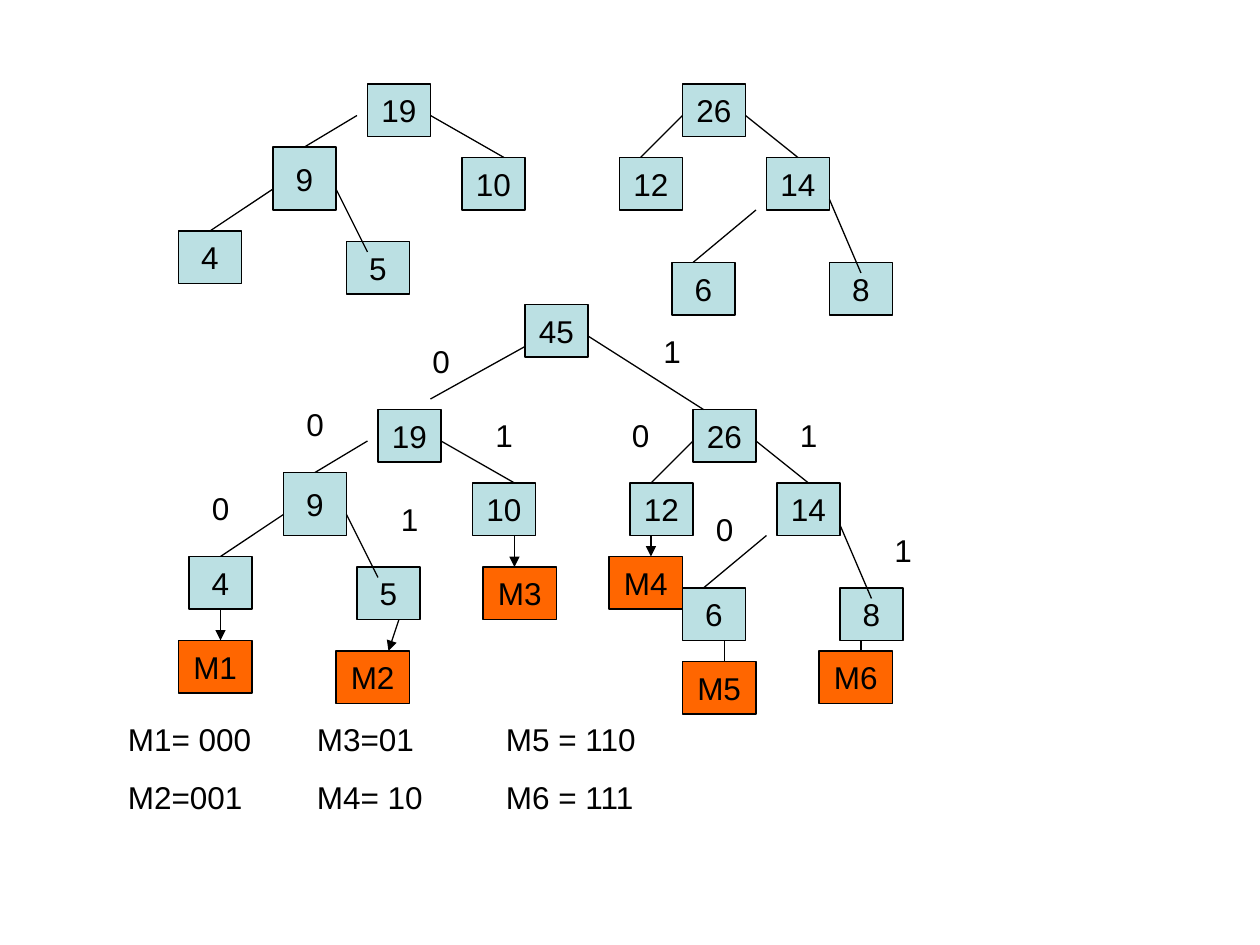
import pptx
import pptx.dml.color
import pptx.enum.shapes
import pptx.enum.text
import pptx.oxml.ns
import pptx.util
from lxml import etree

EMU_PER_PX = 7620  # 120 px to the inch
FONT, FONT_SIZE = "Arial", 18
BLACK, NODE_FILL, MESSAGE_FILL = "000000", "BBE0E3", "FF6600"
NODE_SIZE, MESSAGE_SIZE, BIT_SIZE = (60, 50), (70, 50), (40, 48)
TOP, BOTTOM = 0, 2

# The two subtrees: value -> left, top, and size where it is not the usual one
SUBTREE_NODES = {
    "6": (640, 250), "8": (790, 250), "12": (590, 150), "14": (730, 150),
    "4": (170, 220), "5": (330, 230), "10": (440, 150), "9": (260, 140, 60, 60),
    "19": (350, 80), "26": (650, 80),
}
# Child end, parent end, and the child whose top centre the edge is joined to
SUBTREE_EDGES = [
    ((660, 250), (720, 200), None), ((820, 260), (790, 190), None),
    ((200, 220), (260, 180), "4"), ((350, 240), (320, 180), None),
    ((290, 140), (340, 110), "9"), ((480, 150), (410, 110), None),
    ((610, 150), (650, 110), None), ((760, 150), (710, 110), "14"),
]
MERGED_SHIFT = (10, 310)
ROOT_EDGES = [((410, 380), (500, 330)), ((670, 390), (560, 320))]
BITS = {
    "0": [(400, 320), (280, 380), (190, 460), (590, 390), (670, 480)],
    "1": [(370, 470), (460, 390), (620, 310), (750, 390), (840, 500)],
}
# Message -> box corner, arrow start, arrow end
MESSAGES = {
    "M1": ((170, 610), (210, 580), (210, 610)),
    "M2": ((320, 620), (380, 590), (370, 620)),
    "M3": ((460, 540), (490, 510), (490, 540)),
    "M4": ((580, 530), (620, 510), (620, 530)),
    "M5": ((650, 630), (690, 610), (690, 640)),
    "M6": ((780, 620), (820, 610), (820, 630)),
}
CODE_ROWS = ["M1= 000\t\tM3=01\t\tM5 = 110", "M2=001\t\tM4= 10\t\tM6 = 111"]


def px(*lengths):
    return [pptx.util.Emu(length * EMU_PER_PX) for length in lengths]


def colour(hex_string):
    return pptx.dml.color.RGBColor.from_string(hex_string)


def format_paragraph(paragraph):
    paragraph.font.name = FONT
    paragraph.font.size = pptx.util.Pt(FONT_SIZE)
    paragraph.font.color.rgb = colour(BLACK)


def format_line(line):
    line.color.rgb = colour(BLACK)
    line.width = pptx.util.Pt(0.75)


def add_box(slide, text, corner, size, fill):
    shape = slide.shapes.add_shape(
        pptx.enum.shapes.MSO_SHAPE.RECTANGLE, *px(*corner, *size))
    shape.shadow.inherit = False
    shape.fill.solid()
    shape.fill.fore_color.rgb = colour(fill)
    format_line(shape.line)
    frame = shape.text_frame
    frame.word_wrap = False
    frame.vertical_anchor = pptx.enum.text.MSO_ANCHOR.MIDDLE
    paragraph = frame.paragraphs[0]
    paragraph.text = text
    paragraph.alignment = pptx.enum.text.PP_ALIGN.CENTER
    format_paragraph(paragraph)
    return shape


def add_line(slide, start, end, arrow=False):
    connector = slide.shapes.add_connector(
        pptx.enum.shapes.MSO_CONNECTOR.STRAIGHT, *px(*start, *end))
    format_line(connector.line)
    if arrow:
        line_element = connector.line._get_or_add_ln()
        etree.SubElement(
            line_element, pptx.oxml.ns.qn("a:tailEnd"), type="triangle")
    etree.SubElement(
        connector._element.spPr, pptx.oxml.ns.qn("a:effectLst"))
    return connector


def add_text(slide, rows, corner, size):
    frame = slide.shapes.add_textbox(*px(*corner, *size)).text_frame
    frame.word_wrap = True
    for index, row in enumerate(rows):
        paragraph = frame.add_paragraph() if index else frame.paragraphs[0]
        paragraph.text = row
        if index:
            paragraph.space_before = pptx.util.Pt(11.2)
        format_paragraph(paragraph)


def add_subtrees(slide, shift=(0, 0)):
    def moved(point):
        return point[0] + shift[0], point[1] + shift[1]

    nodes = {
        value: add_box(slide, value, moved(place[:2]),
                       place[2:] or NODE_SIZE, NODE_FILL)
        for value, place in SUBTREE_NODES.items()
    }
    for start, end, child in SUBTREE_EDGES:
        edge = add_line(slide, moved(start), moved(end))
        if child:
            edge.begin_connect(nodes[child], TOP)
    return nodes


def main():
    presentation = pptx.Presentation()
    presentation.slide_width, presentation.slide_height = px(1200, 900)
    slide = presentation.slides.add_slide(presentation.slide_layouts[6])

    # Separate subtrees, then the same pair merged under one root
    add_subtrees(slide)
    merged_nodes = add_subtrees(slide, MERGED_SHIFT)
    add_box(slide, "45", (500, 290), NODE_SIZE, NODE_FILL)
    for start, end in ROOT_EDGES:
        add_line(slide, start, end)

    # Code bits on the branches
    for bit, corners in BITS.items():
        for corner in corners:
            add_text(slide, [bit], corner, BIT_SIZE)

    # Messages at the leaves
    for message, (corner, start, end) in MESSAGES.items():
        arrow = add_line(slide, start, end, arrow=True)
        if message == "M1":
            arrow.begin_connect(merged_nodes["4"], BOTTOM)
        add_box(slide, message, corner, MESSAGE_SIZE, MESSAGE_FILL)

    # Resulting codes
    add_text(slide, CODE_ROWS, (110, 680), (940, 103))

    presentation.save("out.pptx")


if __name__ == "__main__":
    main()
